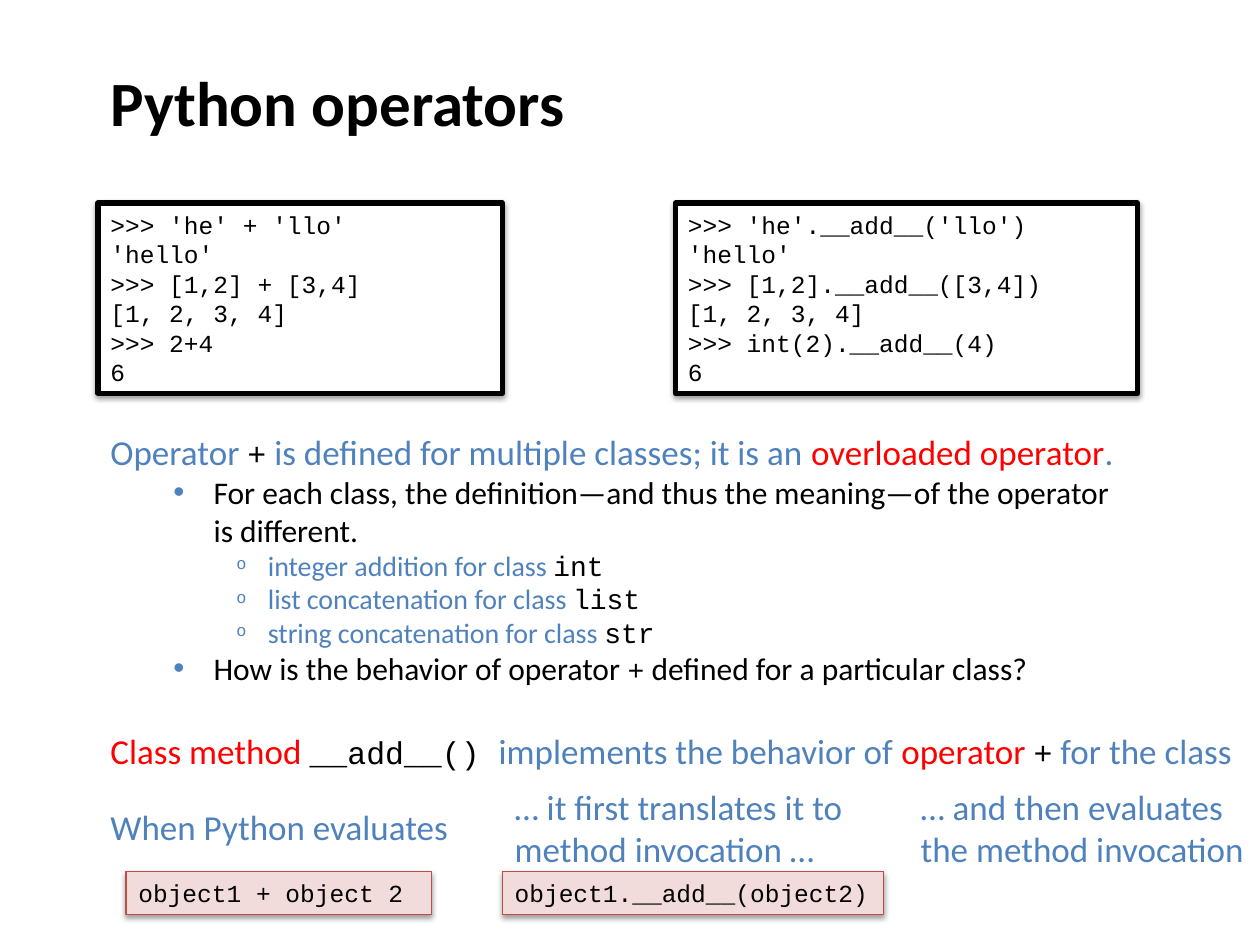
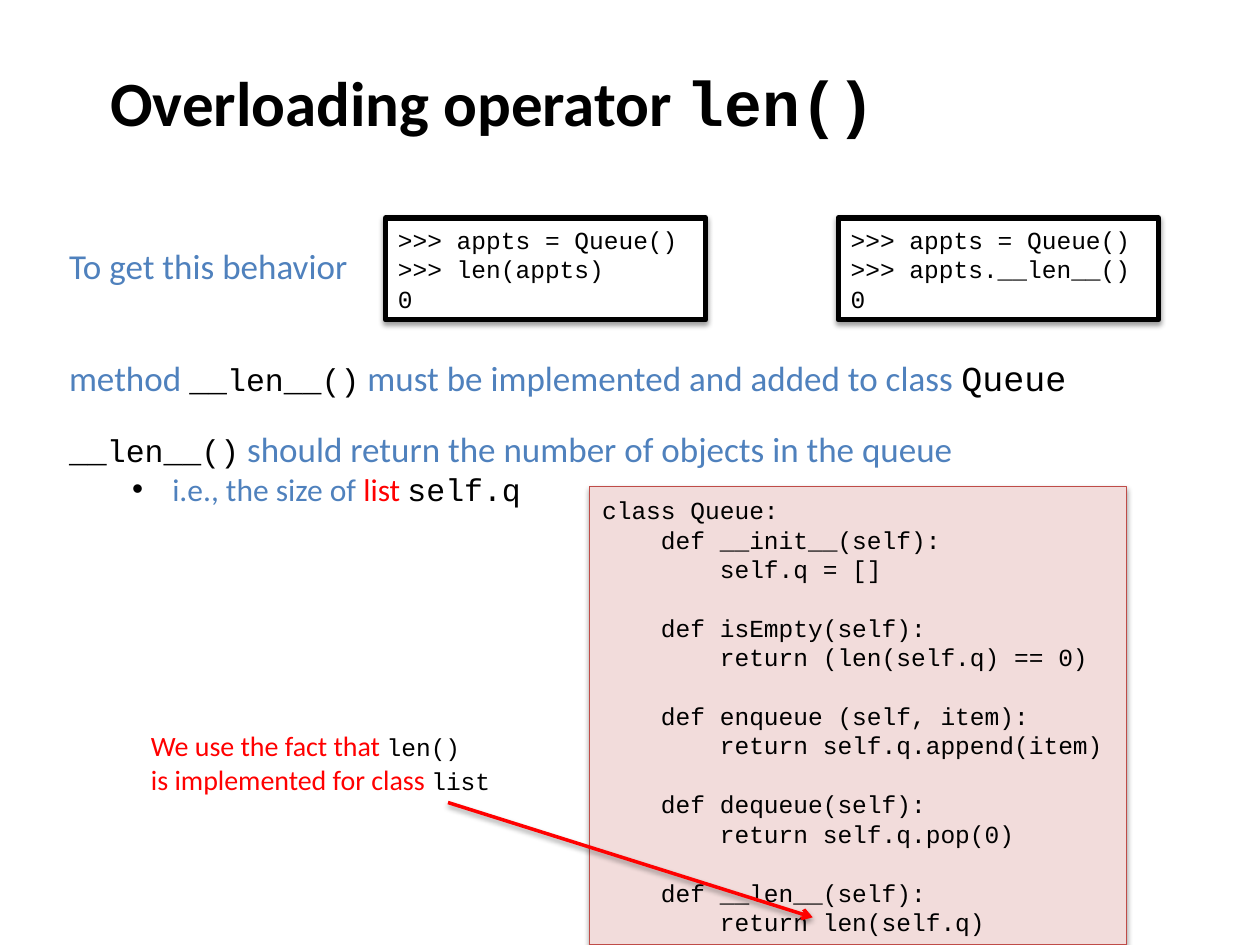
from lxml import etree
from pptx import Presentation
from pptx.dml.color import RGBColor
from pptx.enum.shapes import MSO_CONNECTOR, MSO_SHAPE
from pptx.enum.text import MSO_ANCHOR, MSO_AUTO_SIZE
from pptx.oxml.ns import qn
from pptx.util import Pt

RECT = MSO_SHAPE.RECTANGLE
STRAIGHT = MSO_CONNECTOR.STRAIGHT
MIDDLE = MSO_ANCHOR.MIDDLE
GROW = MSO_AUTO_SIZE.SHAPE_TO_FIT_TEXT
NO_GROW = MSO_AUTO_SIZE.NONE

SANS, MONO = "Calibri", "Courier New"
BLACK, BLUE, RED, WHITE = "000000", "4F81BD", "FF0000", "FFFFFF"
PINK, BRICK = "F2DCDB", "BF4C48"

# Bullet levels: left margin, hanging indent, character, font, size in percent
BULLETS = {1: (59, -23, "•", "Arial", 100), 2: (90, -18, "o", MONO, 60)}


def rgb(value):
    return RGBColor.from_string(value)


# Runs are (text, size, colour, font, bold)
def blue(text, size=20):
    return text, size, BLUE, SANS, False


def red(text, size=20):
    return text, size, RED, SANS, False


def black(text, size=18):
    return text, size, BLACK, SANS, False


def code(text, size=18):
    return text, size, BLACK, MONO, False


def para(*runs, level=0, bullet=BLUE):
    return runs, level, bullet


class Deck:
    def __init__(self):
        self.prs = Presentation()
        self.prs.slide_width, self.prs.slide_height = Pt(720), Pt(540)
        self.s = None

    def slide(self, *title):
        """Start a slide with its bold title."""
        self.s = self.prs.slides.add_slide(self.prs.slide_layouts[6])
        runs = [(text, 36, BLACK, font, True) for text, font in title]
        self.text(56, 0, 628, 116, para(*runs), grow=False)

    def bullet(self, p, level, color):
        left, indent, char, font, percent = BULLETS[level]
        pPr = p._p.get_or_add_pPr()
        pPr.set("lvl", str(level))
        pPr.set("marL", str(Pt(left)))
        pPr.set("indent", str(Pt(indent)))
        clr = etree.SubElement(pPr, qn("a:buClr"))
        etree.SubElement(clr, qn("a:srgbClr"), val=color)
        etree.SubElement(pPr, qn("a:buSzPct"), val=str(percent * 1000))
        etree.SubElement(pPr, qn("a:buFont"), typeface=font)
        etree.SubElement(pPr, qn("a:buChar"), char=char)

    def fill_text(self, sp, paras, wrap=True, grow=True):
        tf = sp.text_frame
        tf.word_wrap = wrap
        tf.auto_size = GROW if grow else NO_GROW
        tf.vertical_anchor = MIDDLE
        for i, (runs, level, color) in enumerate(paras):
            p = tf.add_paragraph() if i else tf.paragraphs[0]
            p.alignment = 1
            if level:
                self.bullet(p, level, color)
            for text, size, run_color, font, bold in runs:
                if not text:  # blank code line keeps the code's line height
                    end = p._p.get_or_add_endParaRPr()
                    end.set("sz", str(size * 100))
                    etree.SubElement(end, qn("a:latin"), typeface=font)
                    continue
                r = p.add_run()
                r.text = text
                r.font.size, r.font.name, r.font.bold = Pt(size), font, bold
                r.font.color.rgb = rgb(run_color)

    def text(self, x, y, w, h, *paras, wrap=True, grow=True):
        sp = self.s.shapes.add_textbox(Pt(x), Pt(y), Pt(w), Pt(h))
        self.fill_text(sp, paras, wrap, grow)

    def shadow(self, spPr):
        effects = spPr.find(qn("a:effectLst"))
        if effects is None:
            effects = etree.SubElement(spPr, qn("a:effectLst"))
        outer = etree.SubElement(
            effects, qn("a:outerShdw"), blurRad=str(Pt(3.1)),
            dist=str(Pt(1.6)), dir="5400000", rotWithShape="0")
        clr = etree.SubElement(outer, qn("a:srgbClr"), val=BLACK)
        etree.SubElement(clr, qn("a:alpha"), val="38000")

    def code_box(self, x, y, w, h, lines, fill, line, width):
        sp = self.s.shapes.add_shape(RECT, Pt(x), Pt(y), Pt(w), Pt(h))
        sp.fill.solid()
        sp.fill.fore_color.rgb = rgb(fill)
        sp.line.color.rgb = rgb(line)
        sp.line.width = Pt(width)
        sp.shadow.inherit = False
        self.shadow(sp._element.spPr)
        self.fill_text(sp, [para(code(t, 14)) for t in lines.split("\n")])

    def shell(self, x, y, w, h, lines):
        self.code_box(x, y, w, h, lines, WHITE, BLACK, 3)

    def source(self, x, y, w, h, lines):
        self.code_box(x, y, w, h, lines, PINK, BRICK, 0.75)

    def arrow(self, x1, y1, x2, y2):
        c = self.s.shapes.add_connector(STRAIGHT, Pt(x1), Pt(y1), Pt(x2), Pt(y2))
        c.line.color.rgb = rgb(RED)
        c.line.width = Pt(2)
        etree.SubElement(c.line._get_or_add_ln(), qn("a:tailEnd"), type="arrow")
        self.shadow(c._element.spPr)


ADD_OPERATOR = """>>> 'he' + 'llo'
'hello'
>>> [1,2] + [3,4]
[1, 2, 3, 4]
>>> 2+4
6"""

ADD_METHOD = """>>> 'he'.__add__('llo')
'hello'
>>> [1,2].__add__([3,4])
[1, 2, 3, 4]
>>> int(2).__add__(4)
6"""

QUEUE_CLASS = """class Queue:
    def __init__(self):
        self.q = []

    def isEmpty(self):
        return (len(self.q) == 0)

    def enqueue (self, item):
        return self.q.append(item)

    def dequeue(self):
        return self.q.pop(0)

    def __len__(self):
        return len(self.q)"""


def operators_slide(deck):
    deck.slide(("Python operators", SANS))
    deck.shell(56, 116, 231, 108.7, ADD_OPERATOR)
    deck.shell(386, 116, 264, 108.7, ADD_METHOD)

    # What overloading means
    additions = [("integer addition", "int"), ("list concatenation", "list"),
                 ("string concatenation", "str")]
    deck.text(
        56, 240.5, 595, 157.7,
        para(blue("Operator "), code("+"),
             blue(" is defined for multiple classes; it is an "),
             red("overloaded operator"), blue(".")),
        para(black("For each class, the definition—and thus the meaning—of "
                   "the operator is different."), level=1),
        *[para(blue(f"{kind} for class ", 16), code(name, 16), level=2)
          for kind, name in additions],
        para(black("How is the behavior of operator "), code("+", 16),
             black(" defined for a particular class?"), level=1))
    deck.text(
        56, 413.3, 662.4, 31.5,
        para(red("Class method "), code("__add__() "),
             blue("implements the behavior of "), red("operator "),
             code("+"), blue(" for the class")), wrap=False)

    # Evaluation steps
    deck.source(72, 498, 174.5, 24.5, "object1 + object 2")
    deck.source(287, 498, 218, 24.5, "object1.__add__(object2)")
    deck.text(56, 456.5, 209.5, 31.5,
              para(blue("When Python evaluates")), wrap=False)
    deck.text(287, 445, 204.5, 55.7,
              para(blue("… it first translates it to method invocation …")))
    deck.text(519, 445, 201.6, 55.7, para(blue("… and then evaluates")),
              para(blue("the method invocation")), wrap=False)


def len_slide(deck):
    deck.slide(("Overloading operator ", SANS), ("len()", MONO))
    left = 32.4

    # Desired behavior
    deck.text(left, 136, 177, 31.5,
              para(blue("To get this behavior")), wrap=False)
    deck.text(left, 200, 590, 31.5,
              para(blue("method "), code("__len__()"),
                   blue(" must be implemented and added to class "),
                   code("Queue", 20)), wrap=False)
    for x, call in ((479, "appts.__len__()"), (220.3, "len(appts)")):
        deck.shell(x, 124.5, 183, 58.3, f">>> appts = Queue()\n>>> {call}\n0")

    # Implementation
    deck.text(left, 240.5, 629, 53.3,
              para(code("__len__()"),
                   blue(" should return the number of objects in the queue")),
              para(blue("i.e., the size of ", 18), red("list ", 18),
                   code("self.q"), level=1, bullet=BLACK))
    deck.source(337, 278, 306.7, 262, QUEUE_CLASS)

    # Remark pointing at the last line
    deck.text(79.2, 412.6, 216, 46,
              para(red("We use the fact that ", 16), code("len()", 14)),
              para(red("is implemented for class ", 16), code("list", 14)),
              wrap=False)
    deck.arrow(256, 458.6, 464.4, 524.2)


def main():
    deck = Deck()
    operators_slide(deck)
    len_slide(deck)
    deck.prs.save("out.pptx")


if __name__ == "__main__":
    main()
